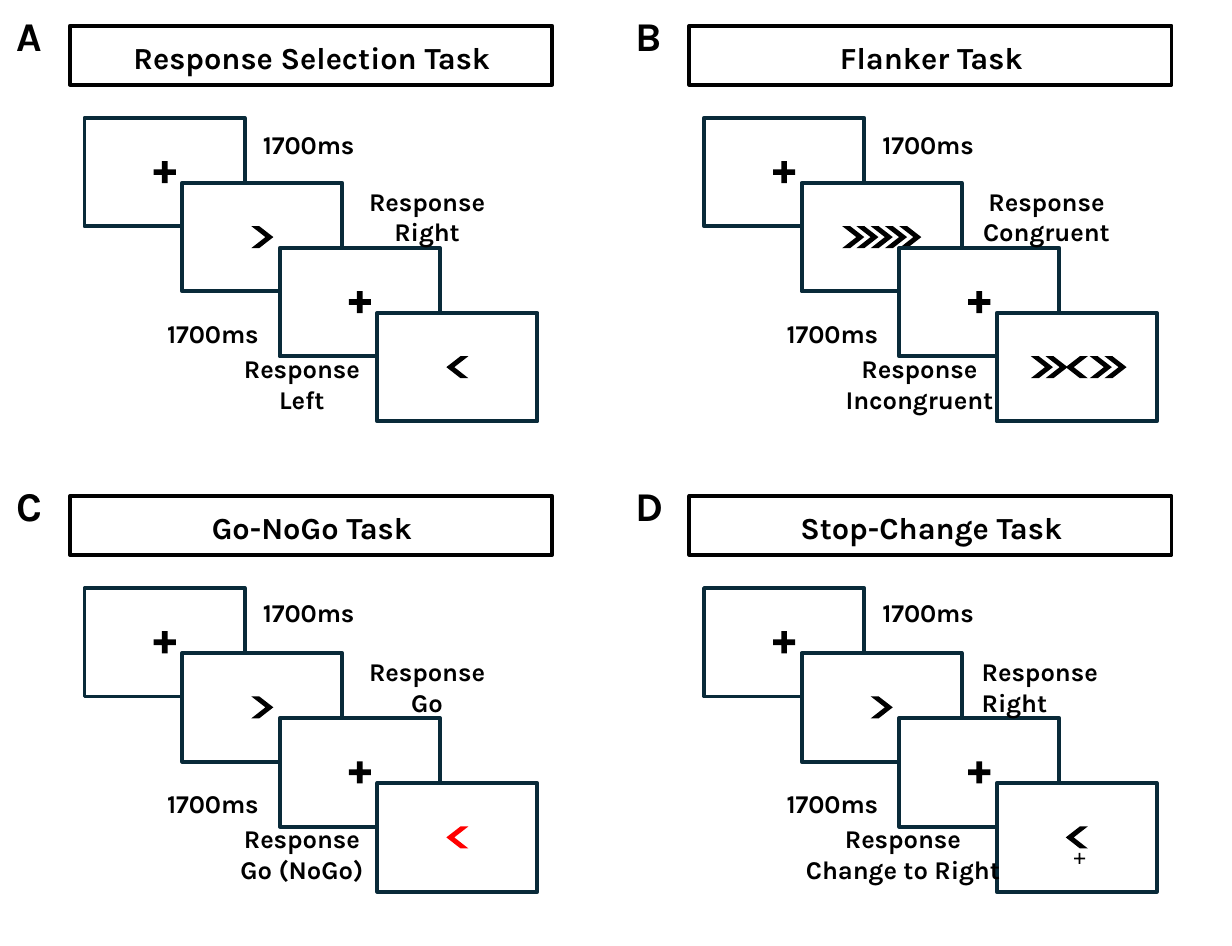
from pptx import Presentation, util as u
from pptx.dml.color import RGBColor
from pptx.enum import shapes, text

KIND = shapes.MSO_SHAPE
ALIGN = text.PP_ALIGN
BLACK, WHITE, NAVY, RED = "000000", "FFFFFF", "092A39", "FF0000"

COL, ROW = 6.73 / 2, 5.11 / 2          # distance between panels
CARD_W, CARD_H = 0.87, 0.59
STEP_X, STEP_Y = 1.59 / 3, 1.06 / 3    # distance between cards
MARK = 0.12


def paint(part, hue):
    part.solid()
    part.fore_color.rgb = RGBColor.from_string(hue)


def shape(slide, kind, box, fill, line=None):
    item = slide.shapes.add_shape(kind, *map(u.Inches, box))
    item.shadow.inherit = False
    paint(item.fill, fill)
    if line:
        paint(item.line.fill, line)
        item.line.width = u.Pt(1.5)
    else:
        item.line.fill.background()
    return item


def label(slide, box, words, size=10, align=ALIGN.LEFT, wrap=True):
    frame = slide.shapes.add_textbox(*map(u.Inches, box)).text_frame
    frame.word_wrap = wrap
    frame.auto_size = text.MSO_AUTO_SIZE.SHAPE_TO_FIT_TEXT
    frame.text = words
    par = frame.paragraphs[0]
    par.alignment = align
    par.font.name, par.font.size, par.font.bold = "Karla", u.Pt(size), True
    paint(par.font.fill, BLACK)


def mark(slide, x, y, sign, hue=BLACK, size=MARK, adjust=0.372):
    """Centre a plus or an arrowhead on the point x, y."""
    kind = KIND.CROSS if sign == "+" else KIND.CHEVRON
    item = shape(slide, kind, (x - size / 2, y - size / 2, size, size), hue)
    item.adjustments[0] = adjust if sign == "+" else 0.641
    if sign == "<":
        item.element.spPr.get_or_add_xfrm().set("flipH", "1")


def cards(slide, x, y, signs):
    """Stack the cards; signs holds (sign, shift from centre) pairs per card."""
    for i, row in enumerate(signs):
        left, top = x + i * STEP_X, y + i * STEP_Y
        shape(slide, KIND.RECTANGLE, (left, top, CARD_W, CARD_H), WHITE, NAVY)
        for sign, shift, *hue in row:
            mark(slide, left + CARD_W / 2 + shift, top + CARD_H / 2, sign, *hue)


def panel(slide, x, y, letter, title, go, end, first, last,
          align=ALIGN.CENTER, wide=0.9, mid=1.64, time=0.65):
    shape(slide, KIND.RECTANGLE, (x + 0.38, y + 0.14, 2.62, 0.32), WHITE, BLACK)
    label(slide, (x + 0.39, y + 0.16, 2.61, 0.3), title, 12, ALIGN.CENTER)
    fix = [("+", 0)]
    cards(slide, x + 0.46, y + 0.64, [fix, go, fix, end])
    for left, top in ((1.33, time), (0.81, 1.68)):
        label(slide, (x + left, y + top, 0.9, 0.27), "1700ms")
    label(slide, (x + 1.87, y + 0.96, 0.9, 0.44), first, align=align)
    label(slide, (x + mid - wide / 2, y + 1.87, wide, 0.44), last, align=ALIGN.CENTER)
    label(slide, (x - 0.01, y + 0.01, 0.35, 0.37), letter, 16, wrap=False)


def main():
    deck = Presentation()
    deck.slide_width, deck.slide_height = u.Cm(17), u.Inches(5.14)
    slide = deck.slides.add_slide(deck.slide_layouts[6])
    right, left = [(">", 0)], [("<", 0)]
    same = [(">", 0.31 / 4 * i) for i in range(-2, 3)]
    mixed = [(">", -0.19), (">", -0.11), ("<", 0), (">", 0.13), (">", 0.21)]
    panel(slide, 0, 0, "A", "Response Selection Task", right, left,
          "Response Right", "Response Left")
    panel(slide, COL, 0, "B", "Flanker Task", same, mixed,
          "Response Congruent", "Response Incongruent", wide=1, mid=1.63)
    panel(slide, 0, ROW, "C", "Go-NoGo Task", right, [("<", 0, RED)],
          "Response Go", "Response Go (NoGo)", time=0.64)
    panel(slide, COL, ROW, "D", "Stop-Change Task", right, left,
          "Response Right", "Response Change to Right",
          align=ALIGN.LEFT, wide=1.3, mid=1.54, time=0.64)
    mark(slide, COL + 2.5, ROW + 2.11, "+", size=0.06, adjust=0.426)
    deck.save("out.pptx")


if __name__ == "__main__":
    main()
